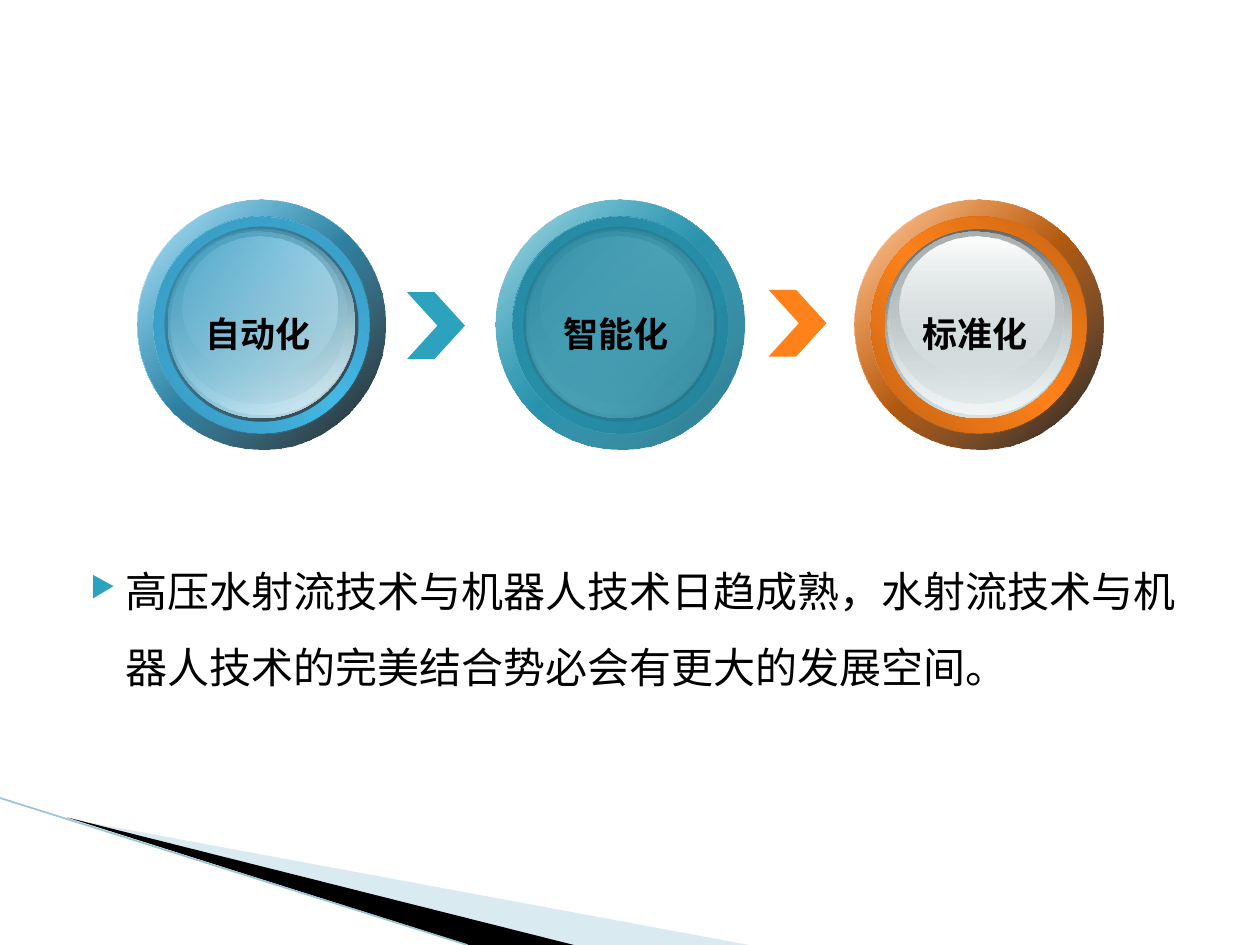
from typing import NamedTuple

from lxml.etree import SubElement
from pptx import Presentation
from pptx.dml.color import RGBColor
from pptx.enum.shapes import MSO_CONNECTOR, MSO_SHAPE
from pptx.oxml.ns import qn
from pptx.util import Pt

HUES = {
    "black": "000000", "white": "FFFFFF", "rim": "333333",
    "blue": "44B9E8", "blue ring": "348EB2", "blue sheen": "3898BE",
    "teal": "2DA2BF", "teal ring": "227C92", "teal sheen": "25859D", "teal shade": "207489",
    "orange": "FF8119", "orange ring": "C36313", "orange sheen": "D16A15",
    "grey": "636869", "mist": "D6E1E2", "pale": "F1F5F5", "steel": "AAB2B3",
    "sky": "A0CBDC", "edge": "97C5D8",
}


class Stop(NamedTuple):
    at: int
    hue: str
    alpha: int = 100


class Box(NamedTuple):
    left: float
    top: float
    width: float
    height: float


class Glass(NamedTuple):
    box: Box
    first: Stop
    last: Stop


class Button(NamedTuple):
    text: str
    hue: str
    dark: Stop
    order: tuple[str, ...]


class Arrow(NamedTuple):
    left: float
    top: float
    hue: str


class Wedge(NamedTuple):
    points: tuple[tuple[float, float], ...]
    hue: str
    alpha: int = 100


LEFT, TOP, STEP = 78.5, 114.3, 204.9
DISC = Box(0, 0, 142, 142.5)
RING = Box(9.4, 9.4, 123.1, 123.8)
RIM = Box(15.5, 15.1, 110.9, 111.6)
LABEL = Box(31.7, 60.5, 80, 31)
GLASS = (
    Glass(Box(17.3, 16.6, 107.3, 108), Stop(0, "grey"), Stop(100, "mist")),
    Glass(Box(18.7, 17.3, 105.1, 105.1), Stop(0, "mist", 0), Stop(100, "pale")),
    Glass(Box(19.8, 18, 99.4, 98.6), Stop(0, "steel"), Stop(100, "mist", 48)),
    Glass(Box(25.6, 20.9, 88.6, 79.9), Stop(0, "white"), Stop(100, "mist", 38)),
)
BUTTONS = (
    Button("自动化", "blue", Stop(100, "black", 90),
           ("base", "shade", "ring", "rim", "glass", "sheen")),
    Button("智能化", "teal", Stop(100, "teal shade"),
           ("base", "ring", "rim", "glass", "shade", "sheen")),
    Button("标准化", "orange", Stop(100, "black", 90),
           ("base", "shade", "sheen", "rim", "ring", "glass")),
)
ARROWS = (Arrow(232.6, 167, "teal"), Arrow(439.2, 165.6, "orange"))
WEDGES = (
    Wedge(((39.6, 468.4), (428.4, 540), (328.3, 540)), "sky", 40),
    Wedge(((38.2, 467.3), (328, 540), (267.8, 540)), "black"),
)
BODY = "高压水射流技术与机器人技术日趋成熟，水射流技术与机器人技术的完美结合势必会有更大的发展空间。"


def rgb(hue: str) -> RGBColor:
    return RGBColor.from_string(HUES[hue])


def points(box: Box) -> list[Pt]:
    return [Pt(side) for side in box]


def tint(node, hue: str, alpha: int) -> None:
    """Add a colour, with its opacity in percent, under an XML node."""
    color = SubElement(node, qn("a:srgbClr"), val=HUES[hue])
    if alpha < 100:
        SubElement(color, qn("a:alpha"), val=str(alpha * 1000))


def paint(shape, hue: str, alpha: int = 100) -> None:
    shape.shadow.inherit = False
    shape.line.fill.background()
    shape.fill.solid()
    shape.fill.fore_color.rgb = rgb(hue)
    if alpha < 100:
        color = shape.fill._xPr.find(qn("a:solidFill"))[0]
        SubElement(color, qn("a:alpha"), val=str(alpha * 1000))


def blend(shape, stops: tuple[Stop, ...], angle: int) -> None:
    """Fill with a gradient whose angle runs clockwise."""
    shape.shadow.inherit = False
    shape.line.fill.background()
    shape.fill.gradient()
    grad = shape.fill._xPr.find(qn("a:gradFill"))
    for child in list(grad):
        grad.remove(child)
    group = SubElement(grad, qn("a:gsLst"))
    for stop in stops:
        tint(SubElement(group, qn("a:gs"), pos=str(stop.at * 1000)), stop.hue, stop.alpha)
    SubElement(grad, qn("a:lin"), ang=str(angle * 60000), scaled="0")


def draw_wedge(slide, wedge: Wedge) -> None:
    start, *rest = wedge.points
    form = slide.shapes.build_freeform(*start, scale=Pt(1))
    form.add_line_segments(rest)
    paint(form.convert_to_shape(), wedge.hue, wedge.alpha)


def draw_edge(slide) -> None:
    line = slide.shapes.add_connector(
        MSO_CONNECTOR.STRAIGHT, Pt(0), Pt(456), Pt(267), Pt(540))
    line.line.color.rgb = rgb("edge")
    line.line.width = Pt(0.95)
    SubElement(line._element.spPr, qn("a:effectLst"))


def draw_button(slide, button: Button, left: float) -> None:
    def oval(box: Box):
        place = box._replace(left=left + box.left, top=TOP + box.top)
        return slide.shapes.add_shape(MSO_SHAPE.OVAL, *points(place))

    hue, ring = button.hue, f"{button.hue} ring"
    coats = {
        "base": (DISC, (Stop(0, "white"), Stop(50, hue), Stop(100, "white")), 45),
        "shade": (DISC, (Stop(0, hue, 32), button.dark), 45),
        "ring": (RING, (Stop(0, ring), Stop(50, hue), Stop(100, ring)), 315),
        "sheen": (RING, (Stop(0, f"{hue} sheen"), Stop(100, hue, 0)), 45),
    }
    for part in button.order:
        if part == "rim":
            paint(oval(RIM), "rim")
        elif part == "glass":
            for pane in GLASS:
                blend(oval(pane.box), (pane.first, pane.last), 90)
        else:
            box, stops, angle = coats[part]
            blend(oval(box), stops, angle)

    place = LABEL._replace(left=left + LABEL.left, top=TOP + LABEL.top)
    frame = slide.shapes.add_textbox(*points(place)).text_frame
    frame.word_wrap = False
    write(frame.paragraphs[0], button.text, 20, "Noto Sans Mono", True)


def draw_arrow(slide, arrow: Arrow) -> None:
    shape = slide.shapes.add_shape(
        MSO_SHAPE.CHEVRON, Pt(arrow.left), Pt(arrow.top), Pt(33.1), Pt(38.2))
    shape.adjustments[0] = 0.525
    paint(shape, arrow.hue)


def write(para, text: str, size: int, face: str, bold: bool = False) -> None:
    para.text = text
    font = para.font
    font.size, font.name, font.bold = Pt(size), face, bold
    font.color.rgb = rgb("black")
    SubElement(font._element, qn("a:ea"), typeface=face)


def draw_body(slide) -> None:
    frame = slide.shapes.add_textbox(Pt(36), Pt(270), Pt(648), Pt(203)).text_frame
    frame.word_wrap = True
    frame.margin_top = Pt(39)
    para = frame.paragraphs[0]
    para.line_spacing, para.space_before = 1.5, Pt(4)
    props = para._p.get_or_add_pPr()
    props.set("marL", str(Pt(28.8)))
    props.set("indent", str(Pt(-20.16)))
    tint(SubElement(props, qn("a:buClr")), "teal", 100)
    SubElement(props, qn("a:buSzPct"), val="68000")
    SubElement(props, qn("a:buChar"), char="▶")
    write(para, BODY, 24, "Noto Sans CJK SC")


def main() -> None:
    deck = Presentation()
    deck.slide_width, deck.slide_height = Pt(720), Pt(540)
    slide = deck.slides.add_slide(deck.slide_layouts[6])
    for wedge in WEDGES:
        draw_wedge(slide, wedge)
    draw_edge(slide)
    for index, button in enumerate(BUTTONS):
        draw_button(slide, button, LEFT + index * STEP)
    for arrow in ARROWS:
        draw_arrow(slide, arrow)
    draw_body(slide)
    deck.save("out.pptx")


if __name__ == "__main__":
    main()
